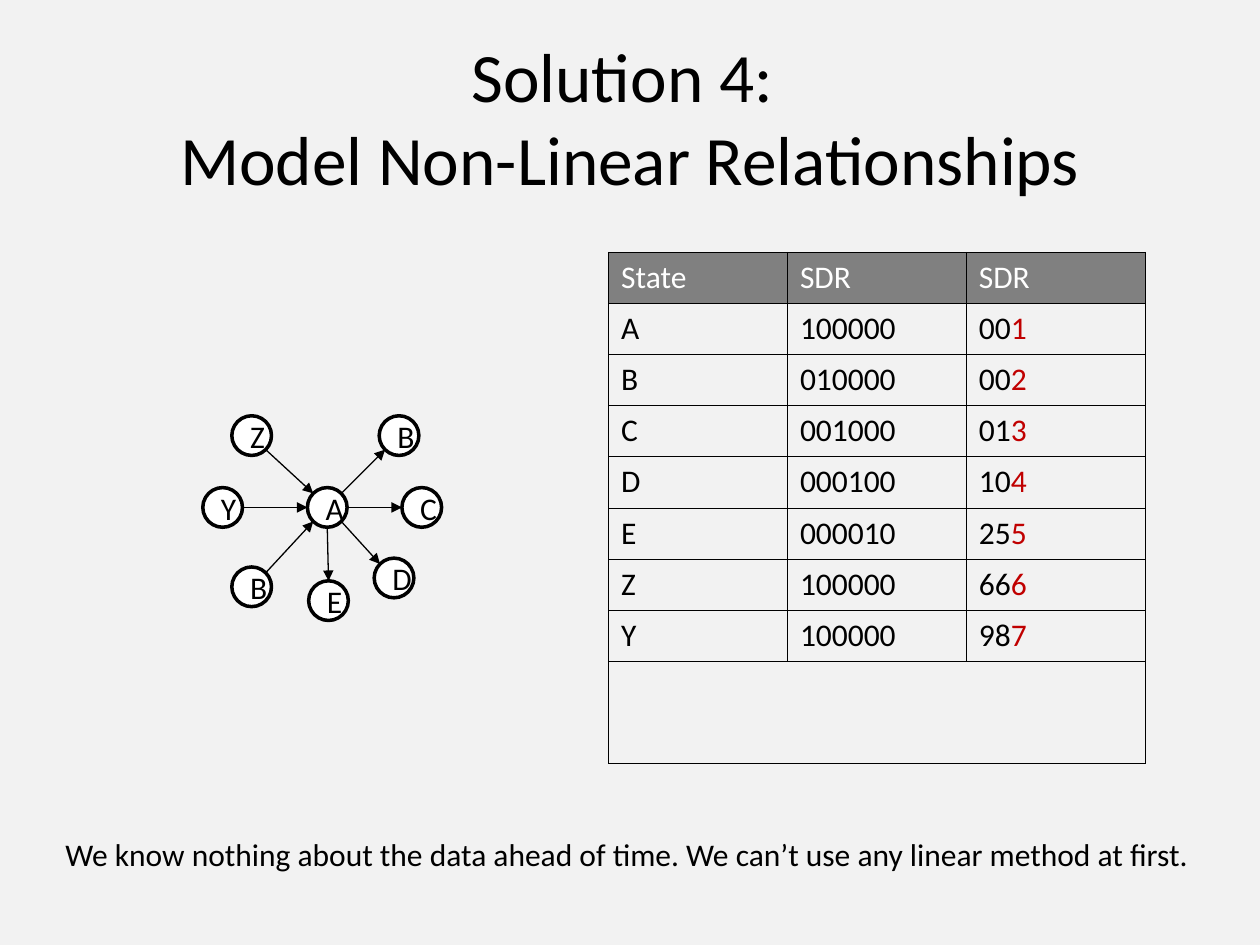
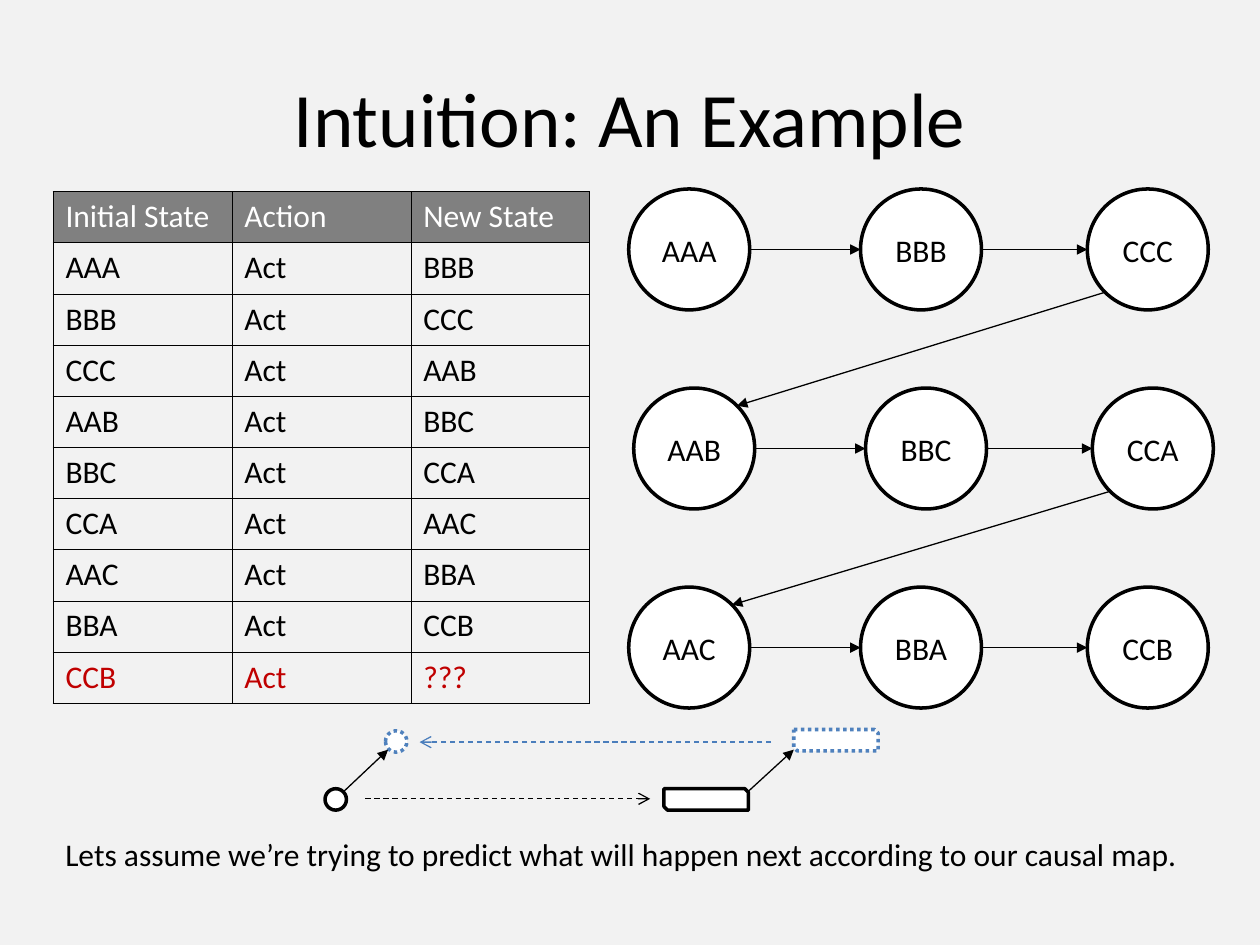
import math
from dataclasses import dataclass
from itertools import pairwise

from lxml import etree
from pptx import Presentation
from pptx.dml.color import RGBColor
from pptx.enum import dml, shapes, text
from pptx.oxml import ns
from pptx.util import Inches, Pt

# Shared look
BLACK = RGBColor(0x00, 0x00, 0x00)
WHITE = RGBColor(0xFF, 0xFF, 0xFF)
PAPER = RGBColor(0xF2, 0xF2, 0xF2)
GREY = RGBColor(0x80, 0x80, 0x80)
RED = RGBColor(0xC0, 0x00, 0x00)
BLUE = RGBColor(0x4F, 0x81, 0xBD)
ARROW_BLUE = RGBColor(0x4B, 0x7E, 0xBC)
FONT = "Calibri"
BODY_SIZE = 18
COL_WIDTH, ROW_HEIGHT = 1.42, 0.406
DOT = shapes.MSO_SHAPE.FLOWCHART_CONNECTOR
CIRCLE = shapes.MSO_SHAPE.OVAL
SNIP = shapes.MSO_SHAPE.SNIP_2_DIAG_RECTANGLE


@dataclass
class Node:
    left: float
    top: float
    width: float
    height: float
    label: str = ""
    kind: int = CIRCLE
    color: RGBColor = BLACK
    dotted: bool = False

    def edge(self, degrees: float) -> tuple[float, float]:
        """Point on the outline, clockwise from the right."""
        a = math.radians(degrees)
        return (self.left + self.width / 2 * (1 + math.cos(a)),
                self.top + self.height / 2 * (1 + math.sin(a)))


@dataclass
class Arrow:
    start: tuple[float, float]
    end: tuple[float, float]
    color: RGBColor = BLACK
    dashed: bool = False


@dataclass
class Spoke:
    label: str
    left: float
    top: float
    degrees: float
    inbound: bool = False


def style_run(r, color: RGBColor = BLACK, size: float = BODY_SIZE) -> None:
    r.font.name = FONT
    r.font.size = Pt(size)
    r.font.bold = False
    r.font.color.rgb = color


def draw_node(slide, node: Node) -> None:
    sp = slide.shapes.add_shape(node.kind, Inches(node.left), Inches(node.top),
                                Inches(node.width), Inches(node.height))
    sp.shadow.inherit = False
    sp.fill.solid()
    sp.fill.fore_color.rgb = WHITE
    sp.line.color.rgb = node.color
    sp.line.width = Pt(2)
    if node.dotted:
        sp.line.dash_style = dml.MSO_LINE.ROUND_DOT
    if node.label:
        tf = sp.text_frame
        tf.text = node.label
        tf.vertical_anchor = text.MSO_ANCHOR.MIDDLE
        p = tf.paragraphs[0]
        p.alignment = text.PP_ALIGN.CENTER
        style_run(p.runs[0])


def draw_arrow(slide, arrow: Arrow) -> None:
    points = [Inches(v) for v in (*arrow.start, *arrow.end)]
    cx = slide.shapes.add_connector(shapes.MSO_CONNECTOR.STRAIGHT, *points)
    cx.line.color.rgb = arrow.color
    cx.line.width = Pt(0.75)
    if arrow.dashed:
        cx.line.dash_style = dml.MSO_LINE.DASH
    tail = etree.SubElement(cx.line._get_or_add_ln(), ns.qn("a:tailEnd"))
    tail.set("type", "arrow" if arrow.dashed else "triangle")
    etree.SubElement(cx._element.spPr, ns.qn("a:effectLst"))


def border_cell(cell) -> None:
    props = cell._tc.get_or_add_tcPr()
    for i, side in enumerate(("lnL", "lnR", "lnT", "lnB")):
        ln = etree.Element(ns.qn(f"a:{side}"), w=str(Pt(0.25)))
        fill = etree.SubElement(ln, ns.qn("a:solidFill"))
        etree.SubElement(fill, ns.qn("a:srgbClr"), val=str(BLACK))
        props.insert(i, ln)


def draw_table(slide, left: float, top: float, rows: list[tuple], row_count: int):
    """Grey header over plain rows; returns the table for later accents."""
    cols = len(rows[0])
    table = slide.shapes.add_table(row_count, cols, Inches(left), Inches(top),
                                   Inches(COL_WIDTH * cols),
                                   Inches(ROW_HEIGHT * row_count)).table
    table.first_row = table.horz_banding = False
    for i in range(row_count):
        for j in range(cols):
            cell = table.cell(i, j)
            if i == 0:
                cell.fill.solid()
                cell.fill.fore_color.rgb = GREY
            else:
                cell.fill.background()
            border_cell(cell)
            if i < len(rows):
                p = cell.text_frame.paragraphs[0]
                for part in rows[i][j].split("|"):
                    p.add_run().text = part
                for r in p.runs:
                    style_run(r, BLACK if i else WHITE)
    return table


def add_slide(prs, title: str, title_size: float, caption: str):
    slide = prs.slides.add_slide(prs.slide_layouts[5])
    sp = slide.shapes.title
    sp.left, sp.top, sp.width, sp.height = map(Inches, (0.5, 0.3, 9, 1.25))
    tf = sp.text_frame
    tf.text = title
    tf.auto_size = text.MSO_AUTO_SIZE.NONE
    tf.vertical_anchor = text.MSO_ANCHOR.MIDDLE
    p = tf.paragraphs[0]
    p.alignment = text.PP_ALIGN.CENTER
    for r in p.runs:
        style_run(r, size=title_size)

    box = slide.shapes.add_textbox(*map(Inches, (0.42, 6.58, 9.17, 0.4)))
    tf = box.text_frame
    tf.word_wrap = True
    tf.auto_size = text.MSO_AUTO_SIZE.SHAPE_TO_FIT_TEXT
    tf.text = caption
    style_run(tf.paragraphs[0].runs[0])
    return slide


def build_relationships(prs) -> None:
    slide = add_slide(prs, "Solution 4: \vModel Non-Linear Relationships", 39.6,
                      "We know nothing about the data ahead of time. "
                      "We can’t use any linear method at first.")

    # Hub and its neighbours
    size = (0.315, 0.315)
    hub = Node(2.44, 3.87, *size, "A", DOT)
    draw_node(slide, hub)
    spokes = [
        Spoke("B", 3.01, 3.3, 315),
        Spoke("C", 3.19, 3.87, 0),
        Spoke("D", 2.97, 4.43, 45),
        Spoke("E", 2.45, 4.61, 90),
        Spoke("Z", 1.84, 3.3, 225, inbound=True),
        Spoke("Y", 1.61, 3.87, 180, inbound=True),
        Spoke("B", 1.84, 4.5, 135, inbound=True),
    ]
    for spoke in spokes:
        node = Node(spoke.left, spoke.top, *size, spoke.label, DOT)
        draw_node(slide, node)
        ends = [hub.edge(spoke.degrees), node.edge(spoke.degrees + 180)]
        if spoke.inbound:
            ends.reverse()
        draw_arrow(slide, Arrow(*ends))

    # State codes; the bar splits off the red last digit
    rows = [
        ("State", "SDR", "SDR"),
        ("A", "100000", "00|1"),
        ("B", "010000", "00|2"),
        ("C", "001000", "01|3"),
        ("D", "000100", "10|4"),
        ("E", "000010", "25|5"),
        ("Z", "100000", "66|6"),
        ("Y", "100000", "98|7"),
    ]
    table = draw_table(slide, 4.83, 2, rows, len(rows) + 1)
    for i in range(1, len(rows)):
        digit = table.cell(i, 2).text_frame.paragraphs[0].runs[-1]
        digit.font.color.rgb = RED
    last = len(rows)
    table.rows[last].height = Inches(2 * ROW_HEIGHT)
    table.cell(last, 0).merge(table.cell(last, 2))


def build_example(prs) -> None:
    slide = add_slide(prs, "Intuition: An Example", 44,
                      "Lets assume we’re trying to predict what will happen next "
                      "according to our causal map.")
    states = ["AAA", "BBB", "CCC", "AAB", "BBC", "CCA", "AAC", "BBA", "CCB"]

    # Transition table, with the open question in red
    rows = [("Initial State", "Action", "New State")]
    rows += [(a, "Act", b) for a, b in pairwise(states + ["???"])]
    table = draw_table(slide, 0.42, 1.52, rows, len(rows))
    for j in range(3):
        r = table.cell(len(rows) - 1, j).text_frame.paragraphs[0].runs[0]
        r.font.color.rgb = RED

    # Causal map: three rows of three states, the middle row nudged right
    lefts = (4.99, 6.83, 8.63)
    nodes = []
    for i, state in enumerate(states):
        row, col = divmod(i, 3)
        nudge = 0.04 if row == 1 else 0
        nodes.append(Node(lefts[col] + nudge, 1.5 + 1.58 * row, 0.96, 0.96, state))
    for node in nodes:
        draw_node(slide, node)
    for i, (a, b) in enumerate(pairwise(nodes), start=1):
        leaving, entering = (135, 315) if i % 3 == 0 else (0, 180)
        draw_arrow(slide, Arrow(a.edge(leaving), b.edge(entering)))

    # Small legend: state to box and back
    legend = [
        Node(2.58, 6.26, 0.17, 0.17, kind=DOT),
        Node(5.27, 6.26, 0.67, 0.17, kind=SNIP),
        Node(6.3, 5.79, 0.67, 0.17, kind=SNIP, color=BLUE, dotted=True),
        Node(3.06, 5.8, 0.17, 0.17, kind=DOT, color=BLUE, dotted=True),
    ]
    for node in legend:
        draw_node(slide, node)
    arrows = [
        Arrow((2.73, 6.28), (3.08, 5.95)),
        Arrow((5.94, 6.28), (6.3, 5.95)),
        Arrow((2.9, 6.34), (5.16, 6.34), dashed=True),
        Arrow((6.12, 5.89), (3.33, 5.89), ARROW_BLUE, dashed=True),
    ]
    for arrow in arrows:
        draw_arrow(slide, arrow)


def main() -> None:
    prs = Presentation()
    prs.slide_width, prs.slide_height = Inches(10), Inches(7.5)
    fill = prs.slide_master.background.fill
    fill.solid()
    fill.fore_color.rgb = PAPER
    build_relationships(prs)
    build_example(prs)
    prs.save("out.pptx")


if __name__ == "__main__":
    main()
